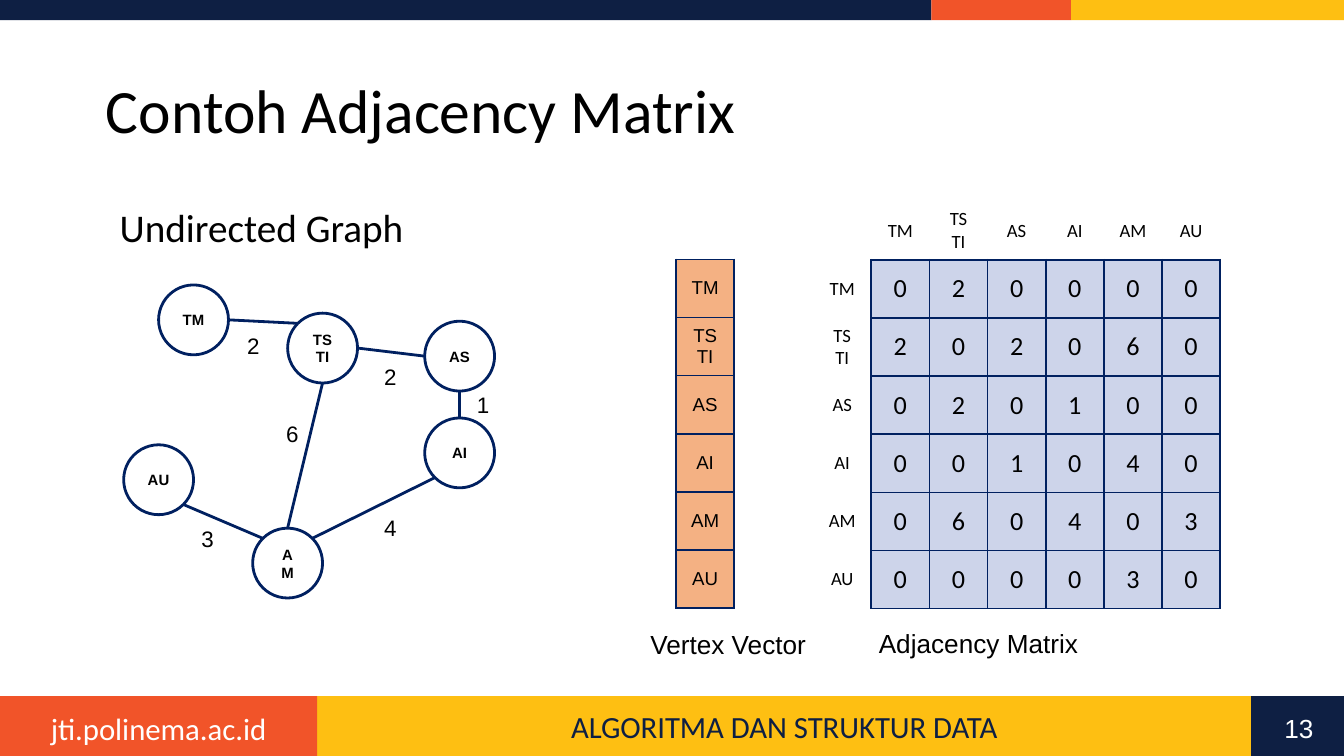
from dataclasses import dataclass
from math import cos, radians, sin
from typing import NamedTuple

from lxml.etree import SubElement
from pptx import Presentation
from pptx.dml.color import RGBColor as RGB
from pptx.enum.shapes import MSO_CONNECTOR as CONN, MSO_SHAPE as SHAPE
from pptx.enum.text import MSO_ANCHOR as ANCHOR, PP_ALIGN as ALIGN
from pptx.oxml.ns import qn
from pptx.util import Inches, Pt


@dataclass(frozen=True)
class Theme:
    navy: str = "0E1F43"
    orange: str = "F15429"
    yellow: str = "FEBF12"
    white: str = "FFFFFF"
    black: str = "000000"
    line: str = "002060"
    matrix: str = "CDD4EA"
    vector: str = "F4B183"
    head: str = "Calibri"
    body: str = "Arial"
    title: float = 33
    subtitle: float = 21
    footer: float = 16.5
    caption: float = 14
    weight: float = 12
    label: float = 10
    vertex: float = 8


T = Theme()
WIDTH = 10
HEIGHT = WIDTH * 9 / 16
FOOTER_Y = 5.18
FOOTER_H = HEIGHT - FOOTER_Y
CELL = 3.03 / 7
DIAMETER = 0.52


class Style(NamedTuple):
    size: float
    font: str = T.body
    color: str = T.black
    bold: bool = False


class Box(NamedTuple):
    x: float
    y: float
    w: float
    h: float


class Vertex(NamedTuple):
    name: str
    cx: float
    cy: float


class Edge(NamedTuple):
    """Two vertex indices with the angle each end leaves at, and a weight label."""
    start: int
    start_angle: int
    end: int
    end_angle: int
    weight: int
    label_x: float
    label_y: float


VERTICES = [
    Vertex("TM", 1.44, 2.38), Vertex("TS TI", 2.4, 2.59), Vertex("AS", 3.42, 2.65),
    Vertex("AI", 3.42, 3.37), Vertex("AM", 2.14, 4.19), Vertex("AU", 1.18, 3.57),
]
EDGES = [
    Edge(0, 0, 1, 225, 2, 1.74, 2.42),
    Edge(1, 0, 2, 180, 2, 2.76, 2.65),
    Edge(2, 90, 3, 270, 1, 3.45, 2.86),
    Edge(1, 90, 4, 270, 6, 2.03, 3.08),
    Edge(4, 225, 5, 45, 3, 1.4, 3.86),
    Edge(3, 135, 4, 315, 4, 2.76, 3.78),
]
BARS = [
    (Box(0, 0, 6.93, 0.15), T.navy),
    (Box(6.93, 0, 1.04, 0.15), T.orange),
    (Box(7.97, 0, 2.03, 0.15), T.yellow),
    (Box(2.36, FOOTER_Y, 6.95, FOOTER_H), T.yellow),
    (Box(0, FOOTER_Y, 2.36, FOOTER_H), T.orange),
    (Box(9.31, FOOTER_Y, 0.69, FOOTER_H), T.navy),
]


def write(tf, text: str, style: Style, align=ALIGN.CENTER, spacing: float = 1) -> None:
    p = tf.paragraphs[0]
    p.alignment, p.line_spacing = align, spacing
    r = p.add_run()
    r.text = text
    for name, value in {"size": Pt(style.size), "name": style.font, "bold": style.bold}.items():
        setattr(r.font, name, value)
    r.font.color.rgb = RGB.from_string(style.color)


def add_text(s, box: Box, text: str, style: Style, align=ALIGN.LEFT, spacing: float = 1,
             anchor=ANCHOR.TOP, wrap: bool = True, left: float = 0.1) -> None:
    tf = s.shapes.add_textbox(*map(Inches, box)).text_frame
    frame = {"word_wrap": wrap, "vertical_anchor": anchor, "margin_left": Inches(left)}
    for name, value in frame.items():
        setattr(tf, name, value)
    write(tf, text, style, align, spacing)


def add_filled(s, kind, box: Box, fill: str):
    sp = s.shapes.add_shape(kind, *map(Inches, box))
    sp.shadow.inherit = False
    sp.fill.solid()
    sp.fill.fore_color.rgb = RGB.from_string(fill)
    sp.line.fill.background()
    return sp


def set_line(line) -> None:
    line.color.rgb = RGB.from_string(T.line)
    line.width = Pt(1.5)


def add_vertex(s, v: Vertex) -> None:
    r = DIAMETER / 2
    sp = add_filled(s, SHAPE.OVAL, Box(v.cx - r, v.cy - r, DIAMETER, DIAMETER), T.white)
    set_line(sp.line)
    sp.text_frame.word_wrap = True
    sp.text_frame.vertical_anchor = ANCHOR.MIDDLE
    write(sp.text_frame, v.name, Style(T.vertex, bold=True))


def rim(v: Vertex, angle: int) -> tuple:
    """Point on the vertex circle, with angles running clockwise from the right."""
    a, r = radians(angle), DIAMETER / 2
    return Inches(v.cx + r * cos(a)), Inches(v.cy + r * sin(a))


def add_edge(s, e: Edge) -> None:
    start, end = rim(VERTICES[e.start], e.start_angle), rim(VERTICES[e.end], e.end_angle)
    c = s.shapes.add_connector(CONN.STRAIGHT, *start, *end)
    set_line(c.line)
    SubElement(c._element.spPr, qn("a:effectLst"))
    add_text(s, Box(e.label_x, e.label_y, 0.29, 0.3), str(e.weight), Style(T.weight), wrap=False)


def style_cell(cell, text: str, style: Style, sides: str, fill: str = "") -> None:
    """Fill a cell and draw borders on the sides named by the letters L, R, T and B."""
    cell.vertical_anchor = ANCHOR.MIDDLE
    cell.margin_top = cell.margin_bottom = Inches(0.03)
    if text:
        write(cell.text_frame, text, style)
    tc_pr = cell._tc.get_or_add_tcPr()
    for side in "LRTB":
        ln = SubElement(tc_pr, qn(f"a:ln{side}"), w=str(Pt(1)))
        if side in sides:
            SubElement(SubElement(ln, qn("a:solidFill")), qn("a:srgbClr"), val=T.line)
        else:
            SubElement(ln, qn("a:noFill"))
    if fill:
        cell.fill.solid()
        cell.fill.fore_color.rgb = RGB.from_string(fill)
    else:
        cell.fill.background()


def add_grid(s, x: float, y: float, rows: int, cols: int):
    box = Box(x, y, cols * CELL, rows * CELL)
    table = s.shapes.add_table(rows, cols, *map(Inches, box)).table
    table.first_row = table.horz_banding = False
    return table


def add_adjacency_matrix(s) -> None:
    n = len(VERTICES)
    weights = [[0] * n for _ in range(n)]
    for e in EDGES:
        weights[e.start][e.end] = weights[e.end][e.start] = e.weight
    table = add_grid(s, 6.05, 1.5, n + 1, n + 1)
    label, value = Style(T.label, T.head), Style(T.caption, T.head)
    style_cell(table.cell(0, 0), "", label, "")
    for i, v in enumerate(VERTICES, 1):
        style_cell(table.cell(0, i), v.name, label, "B")
        style_cell(table.cell(i, 0), v.name, label, "R")
        for j, weight in enumerate(weights[i - 1], 1):
            style_cell(table.cell(i, j), str(weight), value, "LRTB", T.matrix)


def add_vertex_vector(s) -> None:
    table = add_grid(s, 5.03, 1.93, len(VERTICES), 1)
    for i, v in enumerate(VERTICES):
        style_cell(table.cell(i, 0), v.name, Style(T.label), "LRTB", T.vector)


def main() -> None:
    prs = Presentation()
    prs.slide_width, prs.slide_height = Inches(WIDTH), Inches(HEIGHT)
    s = prs.slides.add_slide(prs.slide_layouts[6])
    for box, fill in BARS:
        add_filled(s, SHAPE.RECTANGLE, box, fill)
    add_text(s, Box(2.36, FOOTER_Y, 6.95, FOOTER_H), "ALGORITMA DAN STRUKTUR DATA",
             Style(T.footer, T.head, T.navy), ALIGN.CENTER, anchor=ANCHOR.MIDDLE)
    add_text(s, Box(0, 5.23, 2.36, 0.38), "jti.polinema.ac.id",
             Style(T.footer, T.head, T.white), ALIGN.CENTER)
    add_text(s, Box(9.44, 5.25, 0.45, 0.3), "13", Style(T.caption, color=T.white), ALIGN.CENTER)
    add_text(s, Box(0.69, 0.3, 7.68, 1.09), "Contoh Adjacency Matrix",
             Style(T.title, T.head), spacing=0.9, anchor=ANCHOR.MIDDLE)
    add_text(s, Box(0.69, 1.5, 8.62, 3.57), "Undirected Graph",
             Style(T.subtitle, T.head), spacing=0.9, left=0.2)
    add_adjacency_matrix(s)
    add_vertex_vector(s)
    add_text(s, Box(4.74, 4.63, 1.44, 0.34), "Vertex Vector", Style(T.caption), wrap=False)
    add_text(s, Box(6.44, 4.62, 1.69, 0.34), "Adjacency Matrix", Style(T.caption), wrap=False)
    for v in VERTICES:
        add_vertex(s, v)
    for e in EDGES:
        add_edge(s, e)
    prs.save("out.pptx")


if __name__ == "__main__":
    main()
